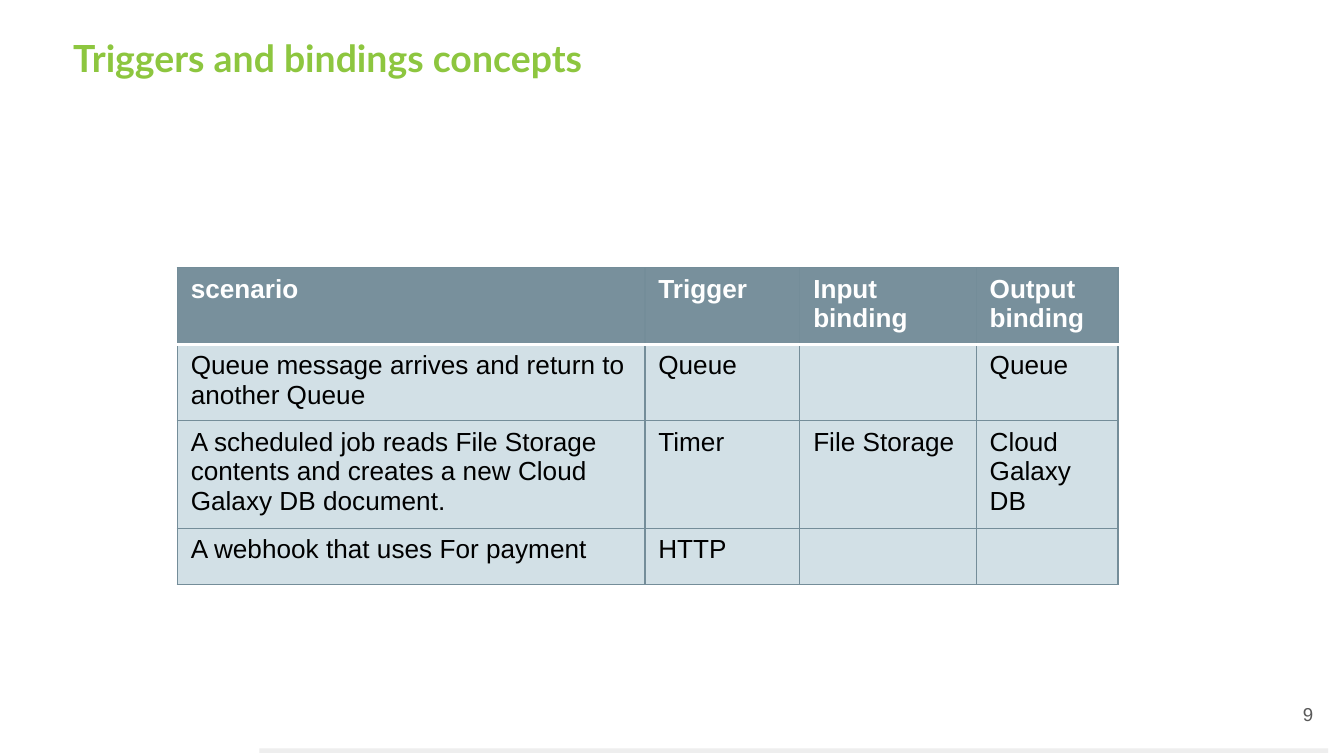
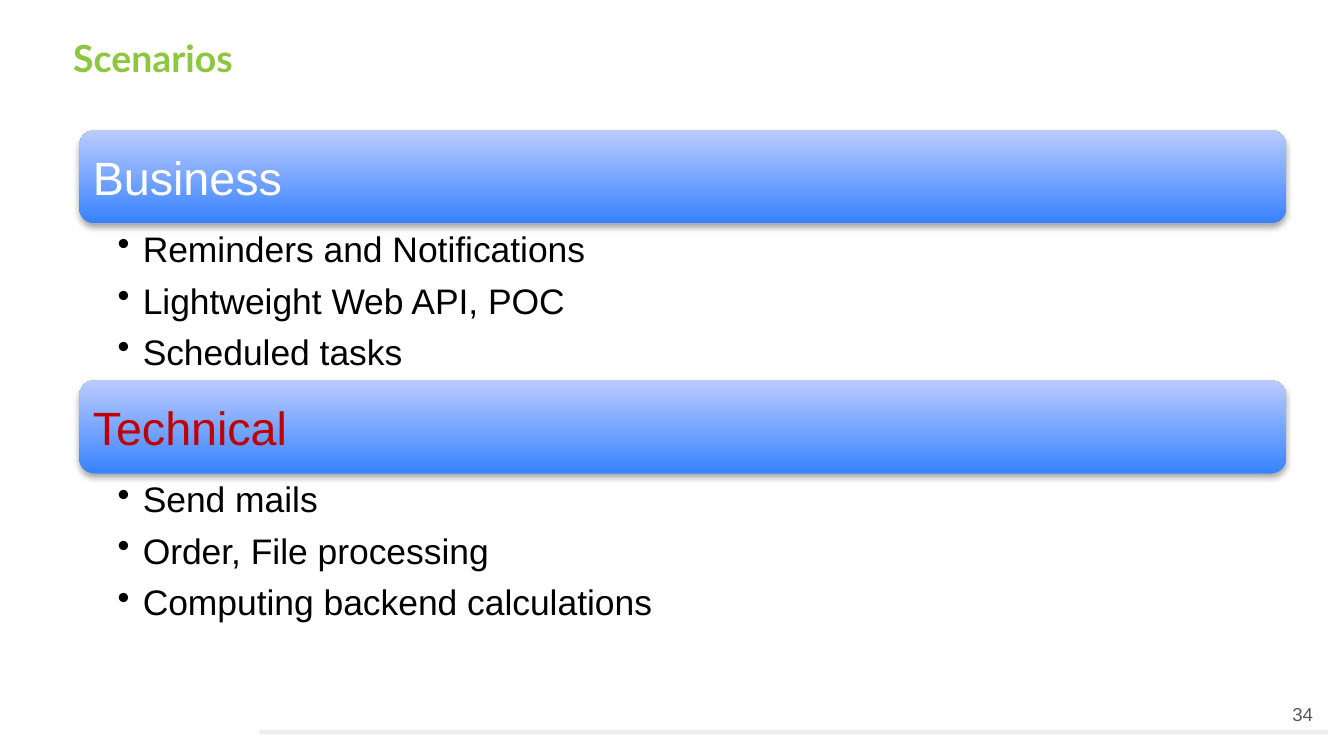
import pptx
import pptx.chart.data
import pptx.dml.color
import pptx.enum.shapes
import pptx.enum.text
import pptx.oxml
import pptx.oxml.ns
import pptx.util
import lxml.etree

Pt = pptx.util.Pt
Shape = pptx.enum.shapes.MSO_SHAPE
Anchor = pptx.enum.text.MSO_ANCHOR
Align = pptx.enum.text.PP_ALIGN
qn = pptx.oxml.ns.qn

COLOURS = {
    "title": "8DC63F",
    "rule": "EEEEEE",
    "number": "595959",
    "header": "78909C",
    "body": "D0DEE4",
    "border": "748D99",
    "band_low": "3782FF",
    "band_high": "BBCBFF",
    "white": "FFFFFF",
    "black": "000000",
    "red": "C00000",
}
COLOURS["body"] = "D2E0E6"


def colour(name):
    return pptx.dml.color.RGBColor.from_string(COLOURS[name])


def style(paragraph, size, name, face="Arial", bold=False):
    font = paragraph.font
    font.size, font.name, font.bold = Pt(size), face, bold
    font.color.rgb = colour(name)


deck = pptx.Presentation()
deck.slide_width, deck.slide_height = Pt(720), Pt(405)

# Shared frame: bottom rule, title, page number
pages = []
for title_text, number, rule_top in (
    ("Triggers and bindings concepts", "9", 401),
    ("Scenarios", "34", 391),
):
    page = deck.slides.add_slide(deck.slide_layouts[5])
    pages.append(page)

    rule = page.shapes.add_shape(
        Shape.RECTANGLE, Pt(139), Pt(rule_top), Pt(572.5), Pt(2.4))
    rule.shadow.inherit = False
    rule.fill.solid()
    rule.fill.fore_color.rgb = colour("rule")
    rule.line.fill.background()

    title = page.shapes.title
    title.left, title.top, title.width, title.height = Pt(32), Pt(11.5), Pt(443.5), Pt(38)
    number_box = page.shapes.add_textbox(Pt(667.5), Pt(367), Pt(43), Pt(31))
    for box, text, anchor in (
        (title, title_text, Anchor.TOP),
        (number_box, number, Anchor.MIDDLE),
    ):
        frame = box.text_frame
        frame.text = text
        frame.word_wrap = True
        frame.vertical_anchor = anchor
        frame.margin_left = frame.margin_right = Pt(7.2)
        frame.margin_top = frame.margin_bottom = Pt(7.2)
    title_para = title.text_frame.paragraphs[0]
    title_para.alignment = Align.LEFT
    style(title_para, 20, "title", "Lato", True)
    number_para = number_box.text_frame.paragraphs[0]
    number_para.alignment = Align.RIGHT
    style(number_para, 10, "number")

concepts_page, scenarios_page = pages

# Concepts table
rows = [
    ("scenario", "Trigger", "Input binding", "Output binding"),
    ("Queue message arrives and return to another Queue", "Queue", "", "Queue"),
    ("A scheduled job reads File Storage contents and creates a new Cloud Galaxy DB document.",
     "Timer", "File Storage", "Cloud Galaxy DB"),
    ("A webhook that uses For payment", "HTTP", "", ""),
]
widths = (250.5, 83, 94.5, 76)
heights = (41, 41, 57.5, 30)
table = concepts_page.shapes.add_table(
    len(rows), len(widths), Pt(95), Pt(143.5), Pt(sum(widths)), Pt(sum(heights))).table
for column, width in zip(table.columns, widths):
    column.width = Pt(width)
for row_index, (texts, height) in enumerate(zip(rows, heights)):
    table.rows[row_index].height = Pt(height)
    is_header = row_index == 0
    for column_index, text in enumerate(texts):
        cell = table.cell(row_index, column_index)
        cell.text = text
        style(cell.text_frame.paragraphs[0], 14,
              "white" if is_header else "black", bold=is_header)

        # Borders come before the fill in the cell properties
        properties = cell._tc.get_or_add_tcPr()
        for side in ("L", "R", "T", "B"):
            under_header = (row_index, side) in ((0, "B"), (1, "T"))
            edge_name, edge_width = ("white", 2) if under_header else ("border", 0.75)
            edge = lxml.etree.SubElement(
                properties, qn(f"a:ln{side}"), w=str(int(Pt(edge_width))))
            edge_fill = lxml.etree.SubElement(edge, qn("a:solidFill"))
            lxml.etree.SubElement(edge_fill, qn("a:srgbClr"), val=COLOURS[edge_name])
        cell.fill.solid()
        cell.fill.fore_color.rgb = colour("header" if is_header else "body")

# Scenario bands, each with its bullet list
scenarios = [
    ("Business", "white",
     ("Reminders and Notifications", "Lightweight Web API, POC", "Scheduled tasks")),
    ("Technical", "red",
     ("Send mails", "Order, File processing", "Computing backend calculations")),
]
left, width, band_height, list_height = 42.5, 646.5, 50, 84
for index, (heading, heading_colour, items) in enumerate(scenarios):
    top = 69.75 + index * (band_height + list_height)

    band = scenarios_page.shapes.add_shape(
        Shape.ROUNDED_RECTANGLE, Pt(left), Pt(top), Pt(width), Pt(band_height))
    band.fill.gradient()
    band.fill.gradient_angle = 90
    for stop, name in zip(band.fill.gradient_stops, ("band_low", "band_high")):
        stop.color.rgb = colour(name)
    band.line.fill.background()
    band.shadow.inherit = False
    effects = band._element.spPr.find(qn("a:effectLst"))
    shadow = lxml.etree.SubElement(
        effects, qn("a:outerShdw"), blurRad=str(int(Pt(3.1))),
        dist=str(int(Pt(1.8))), dir="5400000", rotWithShape="0")
    shade = lxml.etree.SubElement(shadow, qn("a:srgbClr"), val=COLOURS["black"])
    lxml.etree.SubElement(shade, qn("a:alpha"), val="35000")

    frame = band.text_frame
    frame.text = heading
    frame.margin_left = Pt(4.8)
    frame.vertical_anchor = Anchor.MIDDLE
    heading_para = frame.paragraphs[0]
    heading_para.alignment = Align.LEFT
    style(heading_para, 25, heading_colour)

    list_box = scenarios_page.shapes.add_textbox(
        Pt(left), Pt(top + band_height), Pt(width), Pt(list_height))
    frame = list_box.text_frame
    frame.word_wrap = True
    frame.margin_left, frame.margin_right = Pt(20.5), Pt(13.5)
    frame.margin_top = frame.margin_bottom = Pt(2)
    frame.text = "\n".join(items)
    for para in frame.paragraphs:
        style(para, 19, "black")
        para.space_after = Pt(4.8)
        para_properties = para._p.get_or_add_pPr()
        para_properties.set("marL", str(int(Pt(13.5))))
        para_properties.set("indent", str(int(Pt(-13.5))))
        lxml.etree.SubElement(para_properties, qn("a:buChar"), char="•")
        # Default run properties follow the bullet
        para_properties.append(para_properties.find(qn("a:defRPr")))

deck.save("out.pptx")
